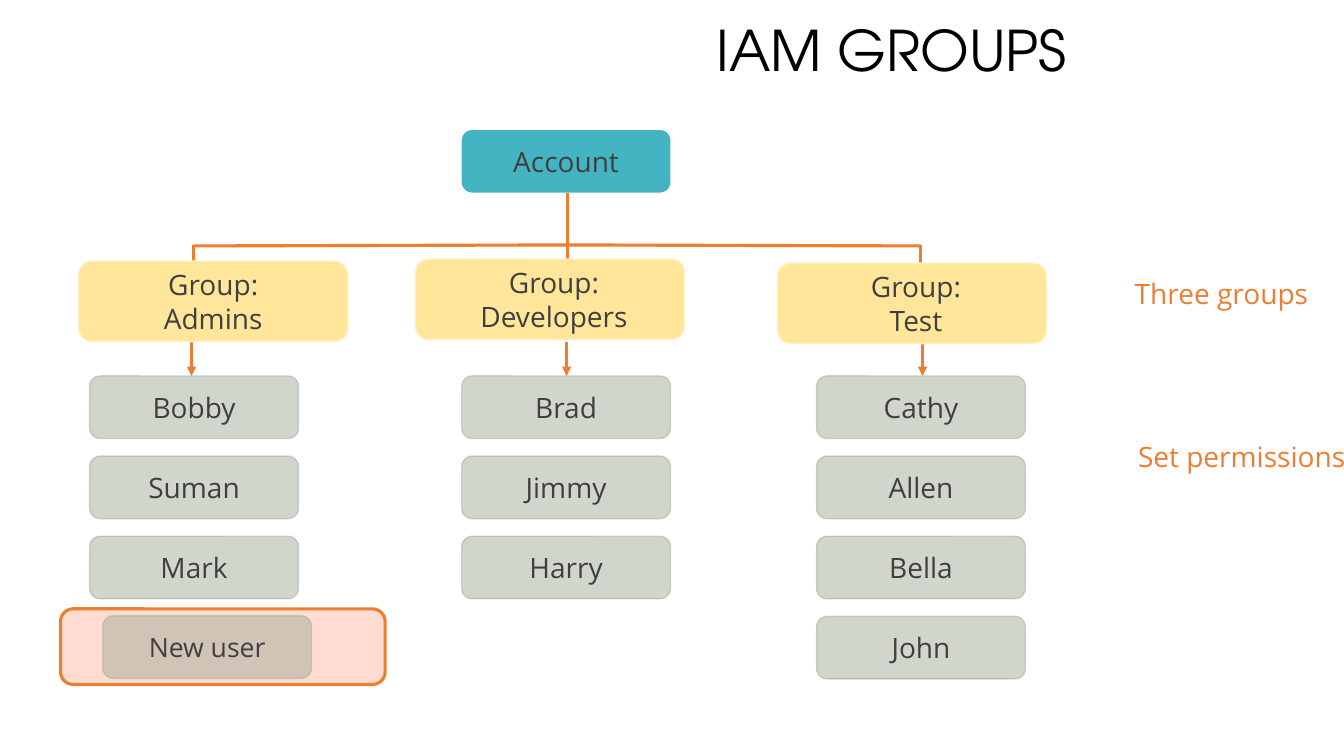
from dataclasses import dataclass

from lxml import etree
from pptx import Presentation
from pptx import util as u
from pptx.dml import color
from pptx.enum import shapes, text
from pptx.oxml import ns


@dataclass(frozen=True)
class Theme:
    title_font: str = "TeX Gyre Adventor"
    body_font: str = "Open Sans"
    title_size: float = 40
    body_size: float = 20
    new_user_size: float = 19
    title_ink: str = "000000"
    ink: str = "3F3F3F"
    accent: str = "ED7D31"
    account: str = "44B3C2"
    group: str = "FFE69B"
    group_edge: str = "FFF2CD"
    user: str = "A3AC99"
    highlight: str = "FFDCD2"
    thin: float = 1
    thick: float = 2.25


THEME = Theme()
USER_SIZE = (2.07, 0.62)
USER_PITCH = 0.795
GROUP_SIZE = (2.67, 0.8)
USERS_TOP = 3.73
BUS_Y = 2.43

# Per group: name, box left and top, caption shift, branch x, arrow x, users left, users
GROUPS = [
    ("Admins", 0.78, 2.59, 0, 1.92, 1.9, 0.89, ["Bobby", "Suman", "Mark"]),
    ("Developers", 4.12, 2.57, 0.04, 5.63, 5.62, 4.58, ["Brad", "Jimmy", "Harry"]),
    ("Test", 7.71, 2.61, 0.04, 9.13, 9.15, 8.1, ["Cathy", "Allen", "Bella", "John"]),
]


def rgb(code):
    return color.RGBColor.from_string(code)


def write(shape, words, ink=THEME.ink, size=THEME.body_size, font=THEME.body_font,
          align=text.PP_ALIGN.CENTER, anchor=text.MSO_ANCHOR.MIDDLE):
    frame = shape.text_frame
    frame.text = words
    frame.word_wrap = True
    frame.vertical_anchor = anchor
    for paragraph in frame.paragraphs:
        paragraph.alignment = align
        for run in paragraph.runs:
            run.font.name = font
            run.font.size = u.Pt(size)
            run.font.color.rgb = rgb(ink)
    return frame


def add_label(slide, box, words, **style):
    label = slide.shapes.add_textbox(*map(u.Inches, box))
    return write(label, words, **style)


def add_card(slide, box, fill, edge=None, width=THEME.thin, opacity=None):
    card = slide.shapes.add_shape(shapes.MSO_SHAPE.ROUNDED_RECTANGLE, *map(u.Inches, box))
    card.shadow.inherit = False
    card.fill.solid()
    card.fill.fore_color.rgb = rgb(fill)
    if edge:
        card.line.color.rgb = rgb(edge)
        card.line.width = u.Pt(width)
    else:
        card.line.fill.background()
    if opacity:
        for tint in card._element.spPr.iter(ns.qn("a:srgbClr")):
            etree.SubElement(tint, ns.qn("a:alpha"), val=str(opacity * 1000))
    return card


def add_user_card(slide, left, top):
    return add_card(slide, (left, top, *USER_SIZE), THEME.user, THEME.user, opacity=49)


def add_link(slide, start, end, arrow=False):
    link = slide.shapes.add_connector(shapes.MSO_CONNECTOR.STRAIGHT,
                                      *map(u.Inches, (*start, *end)))
    link.line.color.rgb = rgb(THEME.accent)
    link.line.width = u.Pt(THEME.thick)
    if arrow:
        etree.SubElement(link.line._get_or_add_ln(), ns.qn("a:tailEnd"), type="triangle")
    etree.SubElement(link._element.spPr, ns.qn("a:effectLst"))


def build_title(slide, box):
    frame = add_label(slide, box, "IAM GROUPS", ink=THEME.title_ink, size=THEME.title_size,
                      font=THEME.title_font, align=text.PP_ALIGN.RIGHT)
    frame.paragraphs[0].line_spacing = 0.9


def build_account(slide, box):
    left, top, width, height = box
    write(add_card(slide, box, THEME.account), "Account")
    # Trunk and the two halves of the bus
    trunk_x = left + width / 2 + 0.015
    add_link(slide, (trunk_x, top + height), (trunk_x, BUS_Y))
    for branch_x in (GROUPS[0][4], GROUPS[-1][4]):
        add_link(slide, (trunk_x, BUS_Y), (branch_x, BUS_Y + 0.01))


def build_group(slide, group):
    name, left, top, shift, branch_x, arrow_x, users_left, users = group
    width, height = GROUP_SIZE
    # Arrows into the group and on to its users
    add_link(slide, (branch_x, BUS_Y), (branch_x, BUS_Y + 0.34), arrow=True)
    add_link(slide, (arrow_x, 3.39), (arrow_x, USERS_TOP), arrow=True)
    # Group box and its caption
    add_card(slide, (left, top, width, height), THEME.group, THEME.group_edge)
    add_label(slide, (left + shift, top, width, height), f"Group:\n{name}")
    # Users
    for row, user in enumerate(users):
        write(add_user_card(slide, users_left, USERS_TOP + row * USER_PITCH), user)


def build_new_user(slide, box):
    left, top, _, _ = box
    add_card(slide, box, THEME.highlight, THEME.accent, THEME.thick)
    new_user = add_user_card(slide, left + 0.42, top + 0.07)
    write(new_user, "New user", size=THEME.new_user_size)


def build_remarks(slide, remarks):
    for words, box in remarks:
        add_label(slide, box, words, ink=THEME.accent, anchor=text.MSO_ANCHOR.TOP)


def main():
    deck = Presentation()
    deck.slide_width, deck.slide_height = u.Inches(13.33), u.Inches(7.5)
    slide = deck.slides.add_slide(deck.slide_layouts[6])
    build_title(slide, (2.94, 0.06, 7.74, 0.94))
    build_account(slide, (4.58, 1.29, *USER_SIZE))
    for group in GROUPS:
        build_group(slide, group)
    build_new_user(slide, (0.6, 6.04, 3.22, 0.75))
    build_remarks(slide, [
        ("Three groups", (10.98, 2.69, 2.27, 0.72)),
        ("Set permissions", (11.09, 4.31, 2.45, 0.72)),
    ])
    deck.save("out.pptx")


if __name__ == "__main__":
    main()
